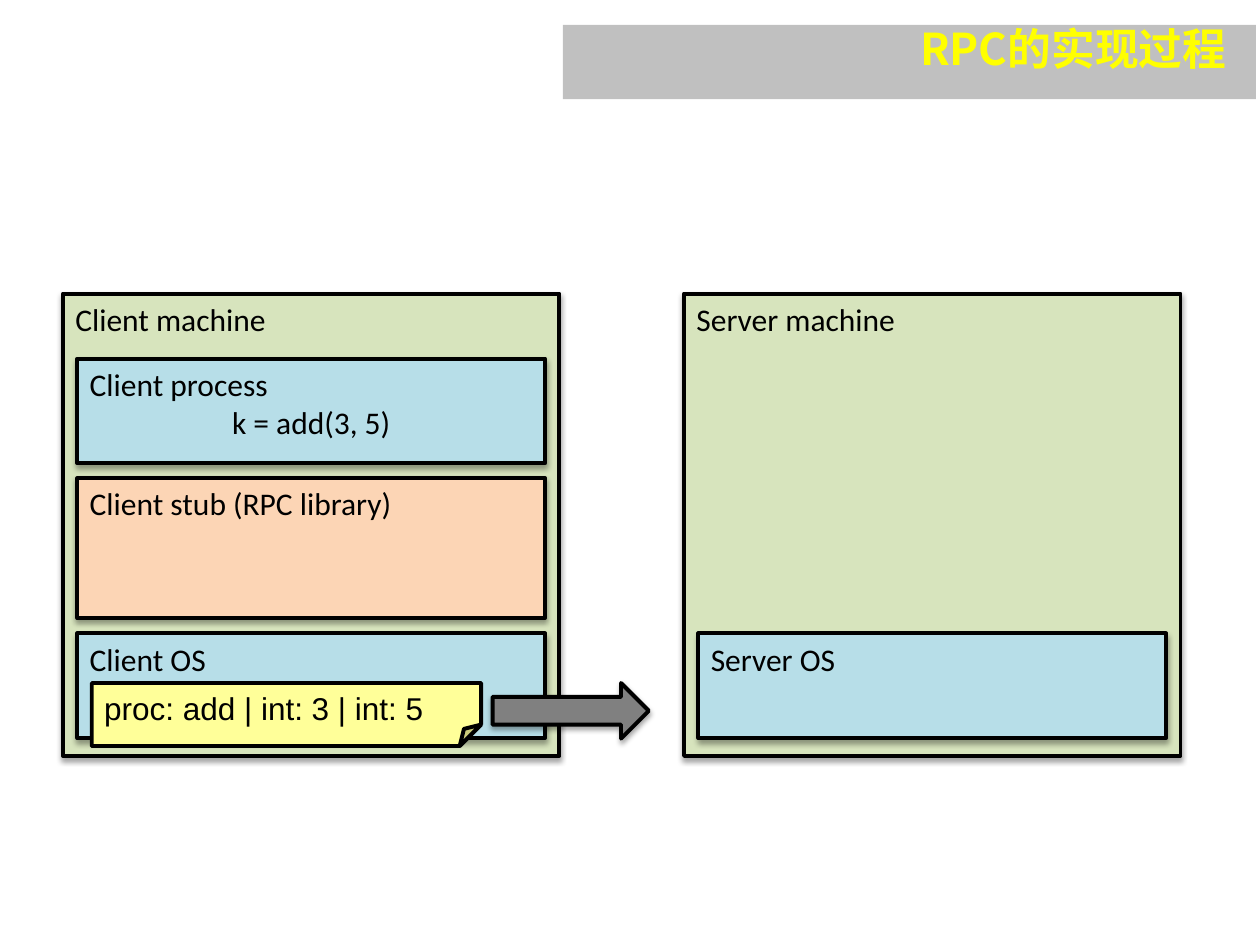
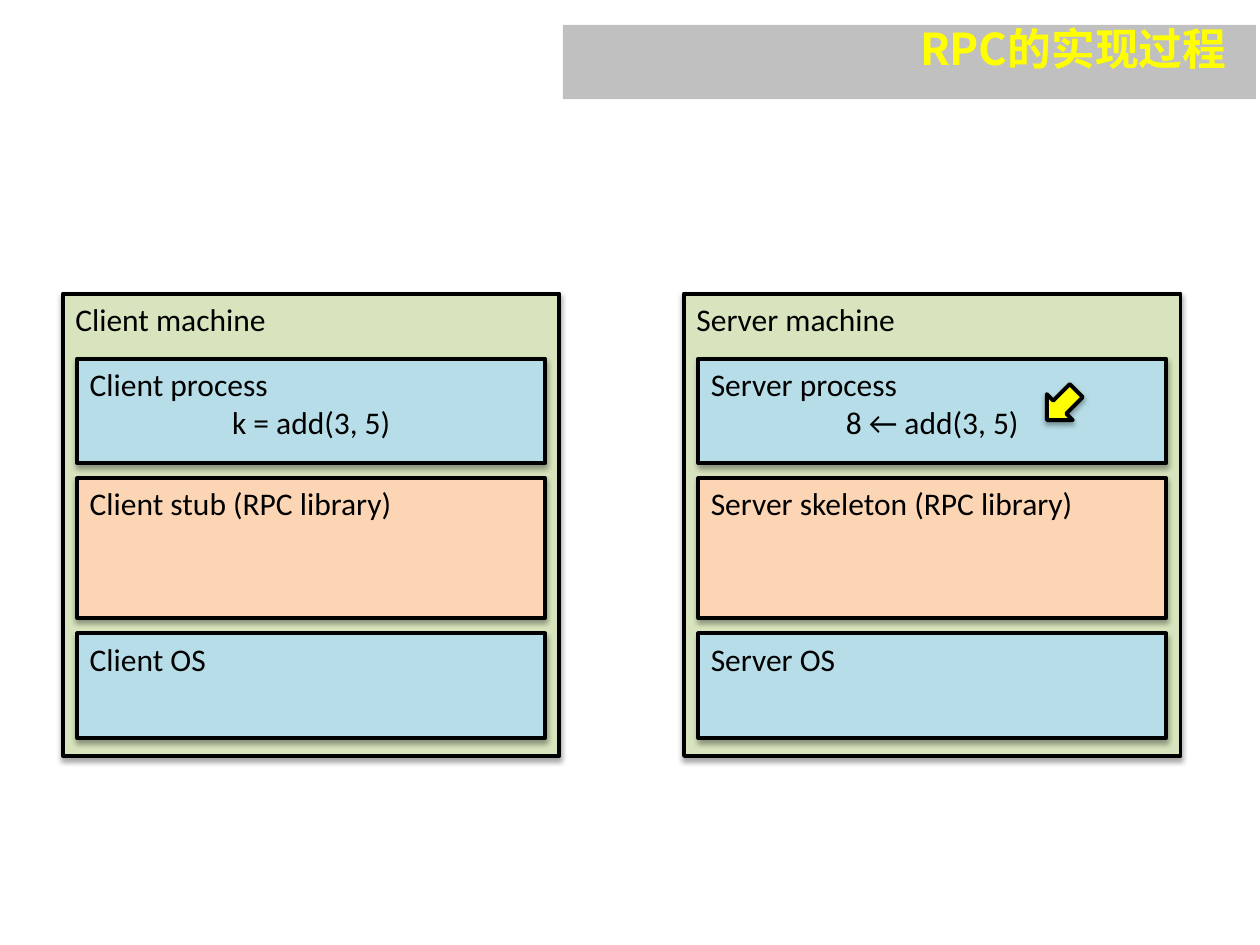
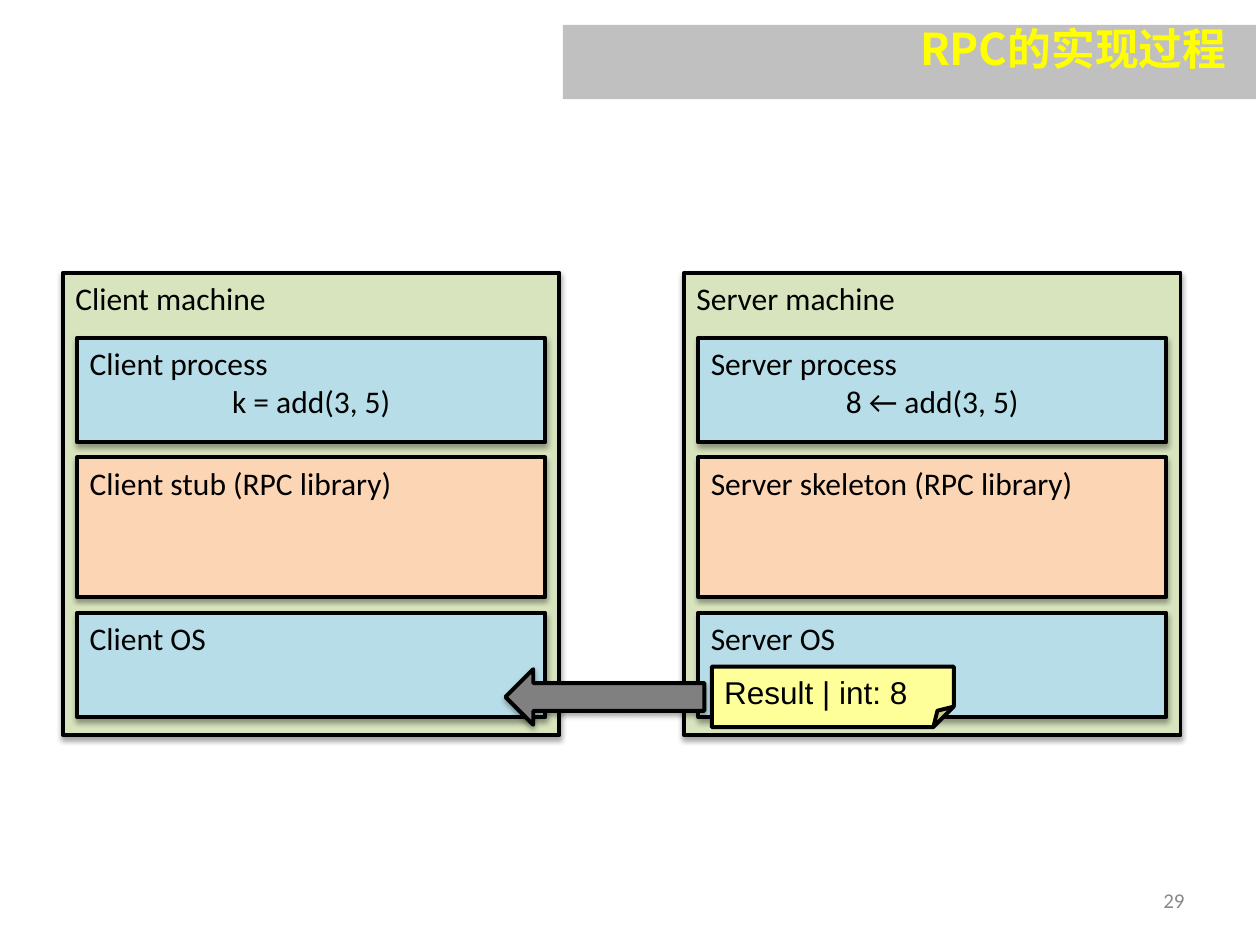
from dataclasses import dataclass

from lxml.etree import SubElement
from pptx import Presentation
from pptx.dml.color import RGBColor
from pptx.enum.shapes import MSO_SHAPE
from pptx.enum.text import MSO_ANCHOR, MSO_AUTO_SIZE, PP_ALIGN
from pptx.oxml.ns import qn
from pptx.shapes.autoshape import Shape
from pptx.slide import Slide
from pptx.text.text import TextFrame
from pptx.util import Cm, Pt


@dataclass(frozen=True)
class Theme:
    band: str = "C0C0C0"
    title: str = "FFFF00"
    machine: str = "D7E4BD"
    system: str = "B7DEE8"
    library: str = "FCD5B5"
    message: str = "FFFF99"
    transfer: str = "808080"
    pointer: str = "FFFF00"
    ink: str = "000000"
    page_number: str = "898989"
    body_font: str = "Calibri"
    message_font: str = "Arial"
    title_font: str = "Noto Sans CJK SC"
    title_size: float = 25
    body_size: float = 18
    page_number_size: float = 12
    outline: float = 2.25


THEME = Theme()
TITLE = "RPC的实现过程"


@dataclass(frozen=True)
class Box:
    left: float
    top: float
    width: float
    height: float

    def lengths(self) -> tuple[Cm, Cm, Cm, Cm]:
        return Cm(self.left), Cm(self.top), Cm(self.width), Cm(self.height)


@dataclass(frozen=True)
class TextStyle:
    font: str
    size: float
    color: str
    bold: bool = False


@dataclass(frozen=True)
class Layer:
    offset: float
    height: float
    fill: str
    label: str
    call: str = ""


@dataclass(frozen=True)
class Machine:
    left: float
    label: str
    layers: tuple[Layer, ...]


@dataclass(frozen=True)
class Message:
    box: Box
    text: str


@dataclass(frozen=True)
class Arrow:
    box: Box
    kind: MSO_SHAPE
    fill: str
    rotation: float = 0


@dataclass(frozen=True)
class Step:
    top: float
    machines: tuple[Machine, ...]
    arrow: Arrow
    message: Message | None = None
    page_number: str = ""


BODY_STYLE = TextStyle(THEME.body_font, THEME.body_size, THEME.ink)
MESSAGE_STYLE = TextStyle(THEME.message_font, THEME.body_size, THEME.ink)
TITLE_STYLE = TextStyle(THEME.title_font, THEME.title_size, THEME.title, True)
PAGE_NUMBER_STYLE = TextStyle(THEME.body_font, THEME.page_number_size, THEME.page_number)

BAND_BOX = Box(11.35, 0.5, 13.97, 1.5)
TITLE_BOX = Box(13.34, 0.43, 11.63, 1.07)
PAGE_NUMBER_BOX = Box(18.2, 17.65, 5.93, 1.01)
MACHINE_WIDTH, MACHINE_HEIGHT = 10.01, 9.32
LAYER_INSET = 0.29


def process(label: str, call: str) -> Layer:
    return Layer(1.31, 2.11, THEME.system, label, call)


def library(label: str) -> Layer:
    return Layer(3.72, 2.82, THEME.library, label)


def operating_system(label: str) -> Layer:
    return Layer(6.85, 2.11, THEME.system, label)


CLIENT = Machine(1.27, "Client machine", (
    process("Client process", "k = add(3, 5)"),
    library("Client stub (RPC library)"),
    operating_system("Client OS"),
))
SERVER = Machine(13.79, "Server machine", (
    process("Server process", "8 ← add(3, 5)"),
    library("Server skeleton (RPC library)"),
    operating_system("Server OS"),
))
WAITING_SERVER = Machine(SERVER.left, SERVER.label, SERVER.layers[-1:])

STEPS = (
    Step(
        5.92,
        (CLIENT, WAITING_SERVER),
        Arrow(Box(9.93, 13.77, 3.15, 1.12), MSO_SHAPE.RIGHT_ARROW, THEME.transfer),
        Message(Box(1.85, 13.77, 7.85, 1.27), "proc: add | int: 3 | int: 5"),
    ),
    Step(
        5.92,
        (CLIENT, SERVER),
        Arrow(Box(21.03, 7.75, 0.74, 0.84), MSO_SHAPE.UP_ARROW, THEME.pointer, 225),
    ),
    Step(
        5.5,
        (CLIENT, SERVER),
        Arrow(Box(10.19, 13.49, 4.01, 1.12), MSO_SHAPE.RIGHT_ARROW, THEME.transfer, 180),
        Message(Box(14.35, 13.44, 4.88, 1.22), "Result | int: 8"),
        "29",
    ),
)


def add_line(
    frame: TextFrame,
    text: str,
    style: TextStyle,
    alignment: PP_ALIGN = PP_ALIGN.LEFT,
    first: bool = True,
) -> None:
    paragraph = frame.paragraphs[0] if first else frame.add_paragraph()
    paragraph.alignment = alignment
    run = paragraph.add_run()
    run.text = text
    run.font.name = style.font
    run.font.size = Pt(style.size)
    run.font.bold = style.bold
    run.font.color.rgb = RGBColor.from_string(style.color)
    east_asian = SubElement(run.font._element, qn("a:ea"))
    east_asian.set("typeface", style.font)


def add_shadow(shape: Shape) -> None:
    effects = shape._element.spPr.find(qn("a:effectLst"))
    shadow = SubElement(effects, qn("a:outerShdw"), {
        "blurRad": str(Pt(3.1)),
        "dist": str(Pt(1.8)),
        "dir": "5400000",
        "rotWithShape": "0",
    })
    color = SubElement(shadow, qn("a:srgbClr"), {"val": THEME.ink})
    SubElement(color, qn("a:alpha"), {"val": "35000"})


def add_figure(
    slide: Slide, kind: MSO_SHAPE, box: Box, fill: str, outlined: bool = True, shadowed: bool = True
) -> Shape:
    shape = slide.shapes.add_shape(kind, *box.lengths())
    shape.fill.solid()
    shape.fill.fore_color.rgb = RGBColor.from_string(fill)
    if outlined:
        shape.line.color.rgb = RGBColor.from_string(THEME.ink)
        shape.line.width = Pt(THEME.outline)
    else:
        shape.line.fill.background()
    shape.shadow.inherit = False
    if shadowed:
        add_shadow(shape)
    shape.text_frame.word_wrap = True
    shape.text_frame.vertical_anchor = MSO_ANCHOR.TOP
    return shape


def move_band_to_layout(slide: Slide) -> None:
    band = add_figure(slide, MSO_SHAPE.RECTANGLE, BAND_BOX, THEME.band, False, False)
    slide.slide_layout.shapes._spTree.insert(2, band._element)


def add_title(slide: Slide) -> None:
    title = slide.shapes.title
    title.left, title.top, title.width, title.height = TITLE_BOX.lengths()
    frame = title.text_frame
    frame.auto_size = MSO_AUTO_SIZE.NONE
    frame.vertical_anchor = MSO_ANCHOR.MIDDLE
    add_line(frame, TITLE, TITLE_STYLE, PP_ALIGN.RIGHT)


def add_machine(slide: Slide, machine: Machine, top: float) -> None:
    outer = Box(machine.left, top, MACHINE_WIDTH, MACHINE_HEIGHT)
    shape = add_figure(slide, MSO_SHAPE.RECTANGLE, outer, THEME.machine)
    add_line(shape.text_frame, machine.label, BODY_STYLE)
    for layer in machine.layers:
        box = Box(
            machine.left + LAYER_INSET,
            top + layer.offset,
            MACHINE_WIDTH - 2 * LAYER_INSET,
            layer.height,
        )
        shape = add_figure(slide, MSO_SHAPE.RECTANGLE, box, layer.fill)
        add_line(shape.text_frame, layer.label, BODY_STYLE)
        if layer.call:
            add_line(shape.text_frame, layer.call, BODY_STYLE, PP_ALIGN.CENTER, first=False)


def add_message(slide: Slide, message: Message) -> None:
    shape = add_figure(
        slide, MSO_SHAPE.FOLDED_CORNER, message.box, THEME.message, shadowed=False
    )
    geometry = shape._element.spPr.find(qn("a:prstGeom"))
    adjustments = geometry.find(qn("a:avLst"))
    SubElement(adjustments, qn("a:gd"), {"name": "adj", "fmla": "val 34000"})
    add_line(shape.text_frame, message.text, MESSAGE_STYLE)


def add_arrow(slide: Slide, arrow: Arrow) -> None:
    shape = add_figure(slide, arrow.kind, arrow.box, arrow.fill)
    shape.rotation = arrow.rotation


def add_page_number(slide: Slide, number: str) -> None:
    frame = slide.shapes.add_textbox(*PAGE_NUMBER_BOX.lengths()).text_frame
    frame.word_wrap = True
    frame.vertical_anchor = MSO_ANCHOR.MIDDLE
    add_line(frame, number, PAGE_NUMBER_STYLE, PP_ALIGN.RIGHT)


def main() -> None:
    presentation = Presentation()
    presentation.slide_width, presentation.slide_height = Cm(25.4), Cm(19.05)
    layout = presentation.slide_layouts.get_by_name("Title Only")
    for index, step in enumerate(STEPS):
        slide = presentation.slides.add_slide(layout)
        if index == 0:
            move_band_to_layout(slide)
        add_title(slide)
        for machine in step.machines:
            add_machine(slide, machine, step.top)
        if step.message:
            add_message(slide, step.message)
        add_arrow(slide, step.arrow)
        if step.page_number:
            add_page_number(slide, step.page_number)
    presentation.save("out.pptx")


if __name__ == "__main__":
    main()
